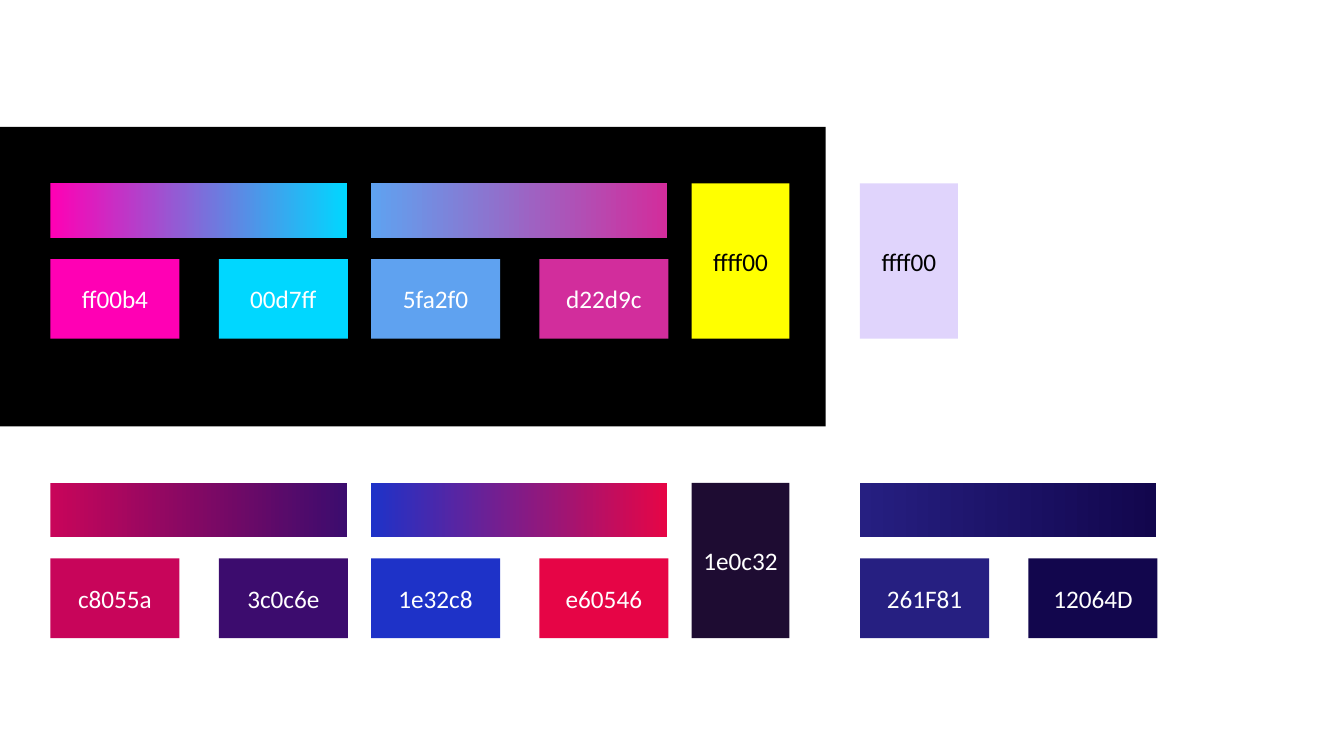
"""Build a slide of colour swatches with their gradients and hex codes."""
from dataclasses import dataclass

from pptx import Presentation
from pptx.dml.color import RGBColor
from pptx.enum.shapes import MSO_SHAPE
from pptx.enum.text import MSO_ANCHOR, PP_ALIGN
from pptx.shapes.autoshape import Shape
from pptx.slide import Slide
from pptx.util import Inches, Pt

BLACK = RGBColor(0x00, 0x00, 0x00)
WHITE = RGBColor(0xFF, 0xFF, 0xFF)
HOT_PINK = RGBColor(0xFF, 0x00, 0xB4)
CYAN = RGBColor(0x00, 0xD7, 0xFF)
SKY_BLUE = RGBColor(0x5F, 0xA2, 0xF0)
MAGENTA = RGBColor(0xD2, 0x2D, 0x9C)
YELLOW = RGBColor(0xFF, 0xFF, 0x00)
LILAC = RGBColor(0xE0, 0xD4, 0xFC)
CRIMSON = RGBColor(0xC8, 0x05, 0x5A)
PURPLE = RGBColor(0x3C, 0x0C, 0x6E)
ROYAL_BLUE = RGBColor(0x1E, 0x32, 0xC8)
RED = RGBColor(0xE6, 0x05, 0x46)
AUBERGINE = RGBColor(0x1E, 0x0C, 0x32)
INDIGO = RGBColor(0x26, 0x1F, 0x81)
MIDNIGHT = RGBColor(0x12, 0x06, 0x4D)

FIRST_COLUMN, SECOND_COLUMN, ACCENT_COLUMN, EXTRA_COLUMN = 0.5, 3.68, 6.86, 8.53
BRIGHT_ROW, DEEP_ROW = 1.82, 4.79
BAR_WIDTH, BAR_HEIGHT = 2.94, 0.54
SWATCH_WIDTH, SWATCH_HEIGHT = 1.28, 0.79
SWATCH_DROP, SWATCH_PITCH = 0.75, 1.67
ACCENT_WIDTH = 0.97
ACCENT_HEIGHT = SWATCH_DROP + SWATCH_HEIGHT


@dataclass(frozen=True)
class Swatch:
    """A colour and the code written on it."""
    color: RGBColor
    code: str
    code_color: RGBColor = WHITE


@dataclass(frozen=True)
class GradientPair:
    """A gradient bar above the swatches of its two end colours."""
    left: float
    top: float
    start: Swatch
    end: Swatch


@dataclass(frozen=True)
class Accent:
    """A tall swatch beside the gradient pairs."""
    left: float
    top: float
    swatch: Swatch


PAIRS = (
    GradientPair(FIRST_COLUMN, BRIGHT_ROW, Swatch(HOT_PINK, "ff00b4"), Swatch(CYAN, "00d7ff")),
    GradientPair(SECOND_COLUMN, BRIGHT_ROW, Swatch(SKY_BLUE, "5fa2f0"), Swatch(MAGENTA, "d22d9c")),
    GradientPair(FIRST_COLUMN, DEEP_ROW, Swatch(CRIMSON, "c8055a"), Swatch(PURPLE, "3c0c6e")),
    GradientPair(SECOND_COLUMN, DEEP_ROW, Swatch(ROYAL_BLUE, "1e32c8"), Swatch(RED, "e60546")),
    GradientPair(EXTRA_COLUMN, DEEP_ROW, Swatch(INDIGO, "261F81"), Swatch(MIDNIGHT, "12064D")),
)
ACCENTS = (
    Accent(ACCENT_COLUMN, BRIGHT_ROW, Swatch(YELLOW, "ffff00", BLACK)),
    Accent(ACCENT_COLUMN, DEEP_ROW, Swatch(AUBERGINE, "1e0c32")),
    Accent(EXTRA_COLUMN, BRIGHT_ROW, Swatch(LILAC, "ffff00", BLACK)),
)


def add_block(slide: Slide, left: float, top: float, width: float, height: float) -> Shape:
    """Add a rectangle without outline or shadow."""
    block = slide.shapes.add_shape(
        MSO_SHAPE.RECTANGLE, Inches(left), Inches(top), Inches(width), Inches(height))
    block.shadow.inherit = False
    block.line.fill.background()
    return block


def fill_solid(block: Shape, color: RGBColor) -> None:
    """Fill a block with one colour."""
    block.fill.solid()
    block.fill.fore_color.rgb = color


def draw_swatch(slide: Slide, swatch: Swatch, left: float, top: float,
                width: float = SWATCH_WIDTH, height: float = SWATCH_HEIGHT) -> None:
    """Draw a coloured block with its code in the middle."""
    block = add_block(slide, left, top, width, height)
    fill_solid(block, swatch.color)
    block.text_frame.vertical_anchor = MSO_ANCHOR.MIDDLE
    code = block.text_frame.paragraphs[0]
    code.text = swatch.code
    code.alignment = PP_ALIGN.CENTER
    code.font.name = "Calibri"
    code.font.size = Pt(18)
    code.font.color.rgb = swatch.code_color


def draw_pair(slide: Slide, pair: GradientPair) -> None:
    """Draw a gradient bar and its two swatches."""
    bar = add_block(slide, pair.left, pair.top, BAR_WIDTH, BAR_HEIGHT)
    bar.fill.gradient()
    bar.fill.gradient_angle = 0
    for index, (stop, swatch) in enumerate(zip(bar.fill.gradient_stops, (pair.start, pair.end))):
        stop.color.rgb = swatch.color
        stop.position = float(index)
        draw_swatch(slide, swatch, pair.left + index * SWATCH_PITCH, pair.top + SWATCH_DROP)


def main() -> None:
    """Build and save the slide."""
    presentation = Presentation()
    presentation.slide_width = Inches(13.33)
    presentation.slide_height = Inches(7.5)
    slide = presentation.slides.add_slide(presentation.slide_layouts[6])
    fill_solid(add_block(slide, 0, 1.26, 8.19, 2.97), BLACK)
    for pair in PAIRS:
        draw_pair(slide, pair)
    for accent in ACCENTS:
        draw_swatch(slide, accent.swatch, accent.left, accent.top, ACCENT_WIDTH, ACCENT_HEIGHT)
    presentation.save("out.pptx")


if __name__ == "__main__":
    main()
